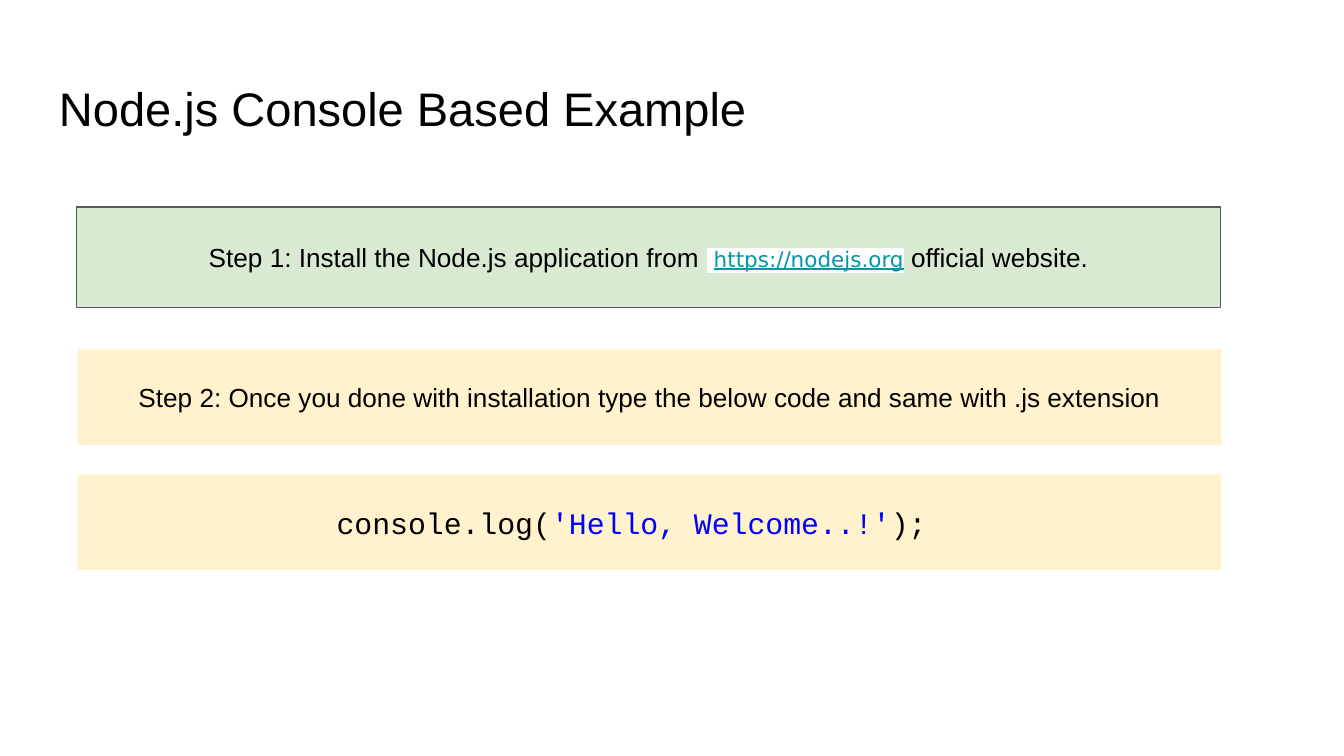
from lxml import etree
from pptx import Presentation
from pptx.dml.color import RGBColor
from pptx.enum.shapes import MSO_SHAPE
from pptx.enum.text import MSO_ANCHOR, PP_ALIGN
from pptx.oxml.ns import qn
from pptx.util import Inches, Pt

RECTANGLE = MSO_SHAPE.RECTANGLE
TOP, MIDDLE = MSO_ANCHOR.TOP, MSO_ANCHOR.MIDDLE
LEFT, CENTER = PP_ALIGN.LEFT, PP_ALIGN.CENTER
COLORS = {
    "text": "000000",
    "link": "0097A7",
    "string": "0000FF",
    "highlight": "FFFFFF",
    "green": "D9EAD3",
    "yellow": "FFF2CC",
    "outline": "595959",
}
INSET = 0.1


def color(name):
    return RGBColor.from_string(COLORS[name])


def add_run(paragraph, text, size, font="Arial", ink="text", underline=False, highlight=None):
    run = paragraph.add_run()
    run.text = text
    run.font.size = Pt(size)
    run.font.name = font
    run.font.color.rgb = color(ink)
    if underline:
        run.font.underline = True
    if highlight:
        mark = etree.Element(qn("a:highlight"))
        etree.SubElement(mark, qn("a:srgbClr"), val=COLORS[highlight])
        run.font._element.find(qn("a:solidFill")).addnext(mark)


def fill_text(shape, runs, anchor, alignment, right_inset=INSET):
    frame = shape.text_frame
    frame.word_wrap = True
    frame.vertical_anchor = anchor
    frame.margin_left = frame.margin_top = frame.margin_bottom = Inches(INSET)
    frame.margin_right = Inches(right_inset)
    paragraph = frame.paragraphs[0]
    paragraph.alignment = alignment
    for run in runs:
        add_run(paragraph, **run)


def add_title(slide, box, text):
    shape = slide.shapes.add_textbox(*map(Inches, box))
    fill_text(shape, [dict(text=text, size=25.2)], TOP, LEFT)


def add_panel(slide, box, fill, runs, outline=None, right_inset=INSET):
    shape = slide.shapes.add_shape(RECTANGLE, *map(Inches, box))
    shape.shadow.inherit = False
    shape.fill.solid()
    shape.fill.fore_color.rgb = color(fill)
    if outline:
        shape.line.color.rgb = color(outline)
        shape.line.width = Pt(0.75)
    else:
        shape.line.fill.background()
    fill_text(shape, runs, MIDDLE, CENTER, right_inset)


def main():
    presentation = Presentation()
    presentation.slide_width = Inches(10)
    presentation.slide_height = presentation.slide_width * 9 // 16
    slide = presentation.slides.add_slide(presentation.slide_layouts[6])

    add_title(slide, (0.34, 0.49, 9.32, 0.63), "Node.js Console Based Example")

    link = dict(size=11.5, font="DejaVu Sans", highlight="highlight")
    add_panel(slide, (0.57, 1.54, 8.51, 0.75), "green", [
        dict(text="Step 1: Install the Node.js application from ", size=14),
        dict(text=" ", **link),
        dict(text="https://nodejs.org", ink="link", underline=True, **link),
        dict(text=" official website.", size=14),
    ], outline="outline")

    add_panel(slide, (0.58, 2.6, 8.51, 0.71), "yellow", [
        dict(text="Step 2: Once you done with installation type the below code "
                  "and same with .js extension", size=14),
    ])

    code = dict(size=16, font="Courier New")
    add_panel(slide, (0.58, 3.53, 8.51, 0.71), "yellow", [
        dict(text="console.log(", **code),
        dict(text="'Hello, Welcome..!'", ink="string", **code),
        dict(text=");", **code),
    ], right_inset=0.37)

    presentation.save("out.pptx")


if __name__ == "__main__":
    main()
